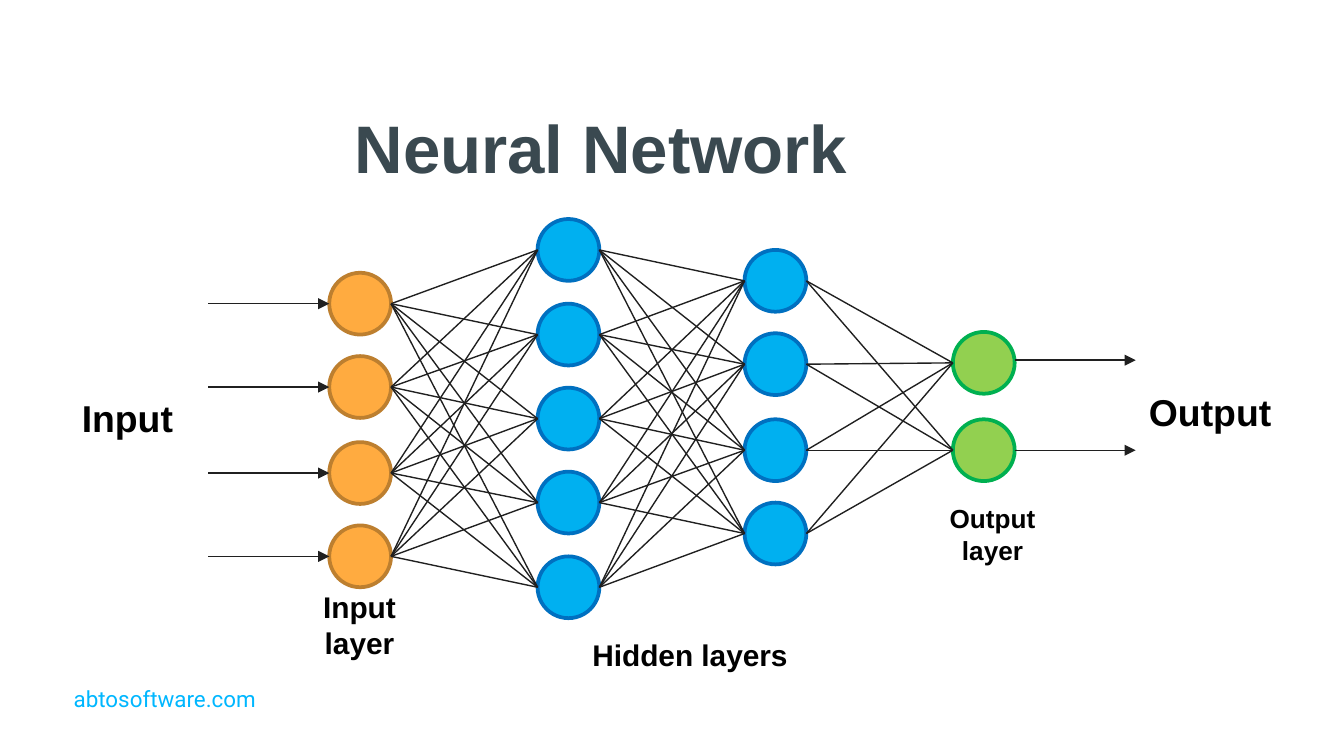
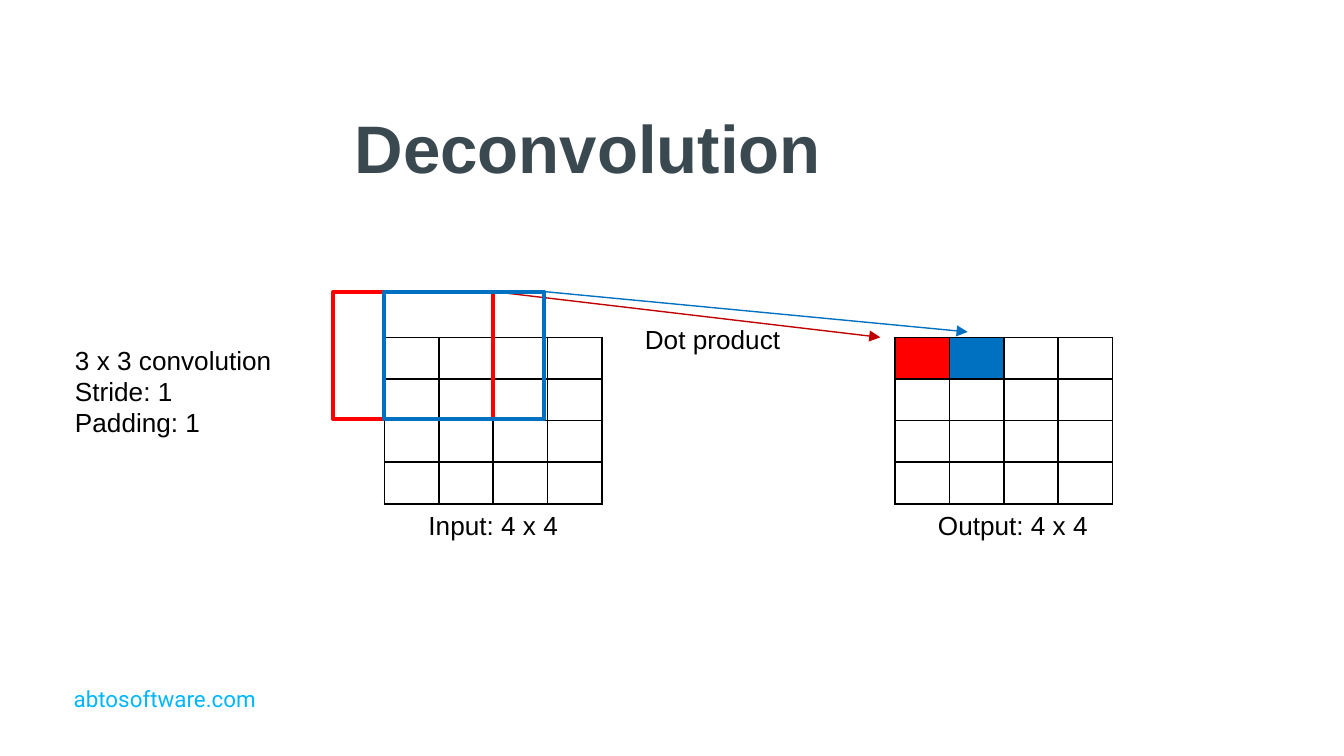
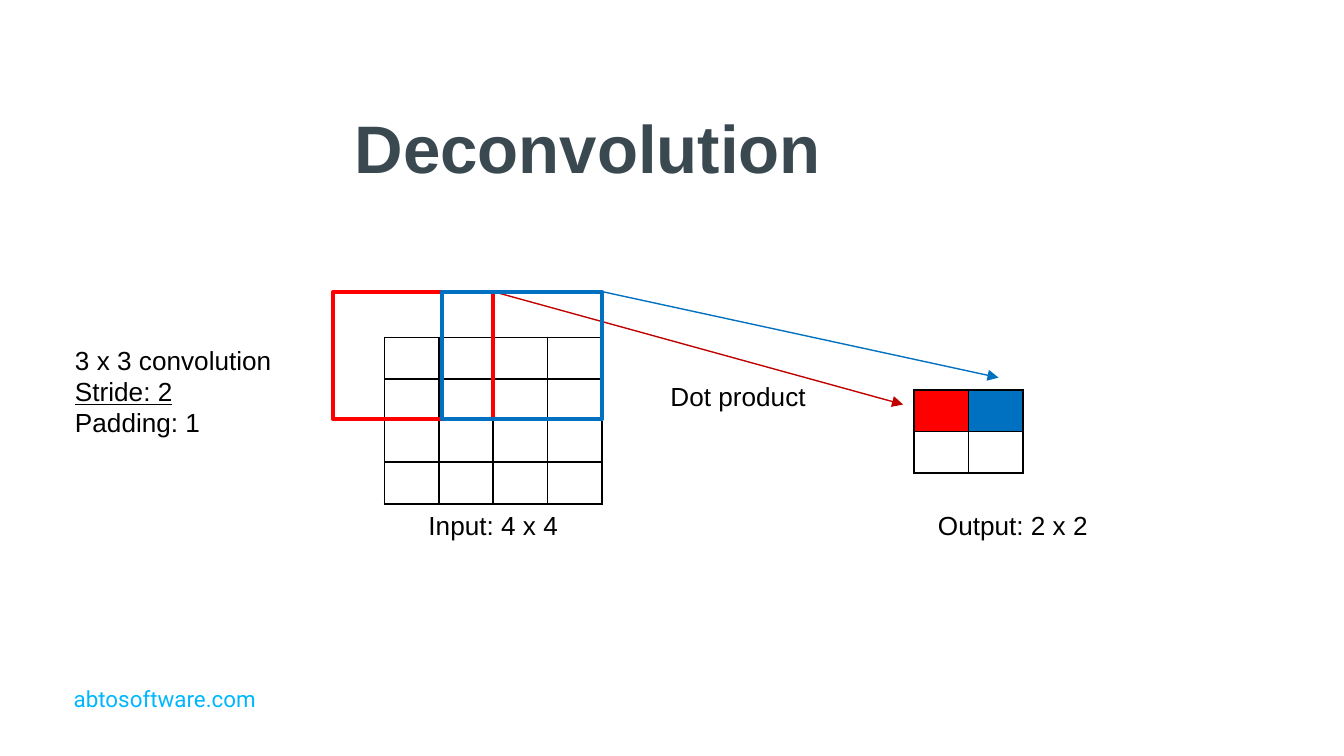
from itertools import product

from lxml import etree
from pptx import Presentation
from pptx.dml.color import RGBColor
from pptx.enum.shapes import MSO_CONNECTOR, MSO_SHAPE
from pptx.enum.text import MSO_ANCHOR, MSO_AUTO_SIZE, PP_ALIGN
from pptx.oxml.ns import qn
from pptx.util import Pt

PX = 4572  # EMU per px, 200 px to the inch
STRAIGHT, OVAL, RECT = MSO_CONNECTOR.STRAIGHT, MSO_SHAPE.OVAL, MSO_SHAPE.RECTANGLE
LEFT, CENTER = PP_ALIGN.LEFT, PP_ALIGN.CENTER
BOTTOM, GROW = MSO_ANCHOR.BOTTOM, MSO_AUTO_SIZE.SHAPE_TO_FIT_TEXT
rgb = RGBColor.from_string

BLACK, SLATE, SKY = "000000", "3A4950", "00B7FF"
RED, BLUE, DARK_RED, INK = "FF0000", "0070C0", "C00000", "202020"


def add_text(slide, box, lines, size, bold=False, color=BLACK, font="Arial",
             align=LEFT, wrap=False, underlined=None):
    label = slide.shapes.add_textbox(*[n * PX for n in box])
    frame = label.text_frame
    frame.word_wrap = wrap
    frame.auto_size = GROW
    frame.text = "\n".join(lines)
    for paragraph in frame.paragraphs:
        paragraph.alignment = align
        paragraph.font.name = font
        paragraph.font.size = Pt(size)
        paragraph.font.bold = bold
        paragraph.font.color.rgb = rgb(color)
        if paragraph.text == underlined:
            paragraph.font.underline = True
    return frame


def add_line(slide, start, end, color=INK, arrow=False):
    line = slide.shapes.add_connector(STRAIGHT, *[n * PX for n in (*start, *end)])
    line.line.color.rgb = rgb(color)
    line.line.width = Pt(0.75)
    properties = line._element.spPr
    if arrow:
        etree.SubElement(properties.find(qn("a:ln")), qn("a:tailEnd"), type="triangle")
    etree.SubElement(properties, qn("a:effectLst"))


deck = Presentation()
deck.slide_width, deck.slide_height = 2000 * PX, 1125 * PX

# Footer and title on every slide
slides = []
for title in ("Neural Network", "Deconvolution", "Deconvolution"):
    slide = deck.slides.add_slide(deck.slide_layouts[6])
    footer = add_text(slide, (90, 1000, 334, 78), ["abtosoftware.com"], 12,
                      color=SKY, font="Roboto", wrap=True)
    heading = add_text(slide, (508, 170, 1446, 128), [title], 36, bold=True,
                       color=SLATE, wrap=True)
    heading.vertical_anchor = BOTTOM
    for frame in (footer, heading):
        frame.auto_size = MSO_AUTO_SIZE.NONE
        frame.margin_top = frame.margin_bottom = 20 * PX
    slides.append(slide)

# Network: centre x, centres y, fill and outline of each layer
network = slides[0]
RADIUS = 46
layers = [
    (536, (452, 576, 704, 828), "FFAB40", "BD7F2F"),
    (846, (372, 498, 623, 748, 874), "00B0F0", BLUE),
    (1154, (418, 542, 670, 794), "00B0F0", BLUE),
    (1464, (540, 670), "92D050", "00B050"),
]
for x, centers, fill, outline in layers:
    for y in centers:
        node = network.shapes.add_shape(OVAL, (x - RADIUS) * PX, (y - RADIUS) * PX,
                                        2 * RADIUS * PX, 2 * RADIUS * PX)
        node.shadow.inherit = False
        node.fill.solid()
        node.fill.fore_color.rgb = rgb(fill)
        node.line.color.rgb = rgb(outline)
        node.line.width = Pt(2)

# Links between neighbouring layers
for (x1, from_centers, *_), (x2, to_centers, *_) in zip(layers, layers[1:]):
    for y1, y2 in product(from_centers, to_centers):
        add_line(network, (x1 + RADIUS, y1), (x2 - RADIUS, y2))

# Arrows into and out of the network
for y in layers[0][1]:
    add_line(network, (310, y), (490, y), arrow=True)
for y in (536, 670):
    add_line(network, (1510, y), (1690, y), arrow=True)

# Network labels
for box, lines, size, align, wrap in [
    ((102, 578, 178, 88), ["Input"], 20, LEFT, False),
    ((460, 866, 150, 128), ["Input", "layer"], 16, CENTER, False),
    ((800, 938, 454, 74), ["Hidden layers"], 16, CENTER, True),
    ((1388, 738, 178, 114), ["Output", "layer"], 14, CENTER, True),
    ((1690, 570, 224, 88), ["Output"], 20, LEFT, False),
]:
    add_text(network, box, lines, size, bold=True, align=align, wrap=wrap)

# Convolution: stride, output grid, window and arrow places
CELL_W, CELL_H = 81, 62
WINDOW_TOP, WINDOW_W, WINDOW_H = 434, 238, 190
convolutions = [
    (slides[1], 1, 4, (1332, 502), 572, (1310, 502), (1440, 494), (940, 472)),
    (slides[2], 2, 2, (1360, 580), 658, (1344, 602), (1486, 562), (978, 556)),
]
for (slide, stride, output_size, output_at, blue_left,
     red_tip, blue_tip, product_at) in convolutions:
    stride_line = f"Stride: {stride}"
    add_text(slide, (92, 502, 334, 162),
             ["3 x 3 convolution", stride_line, "Padding: 1"], 14,
             underlined=stride_line if stride > 1 else None)

    # Input and output grids
    for count, (left, top), cell_fills in [
        (4, (572, 502), {}),
        (output_size, output_at, {(0, 0): RED, (0, 1): BLUE}),
    ]:
        grid = slide.shapes.add_table(count, count, left * PX, top * PX,
                                      count * CELL_W * PX, count * CELL_H * PX).table
        grid.first_row = grid.horz_banding = False
        for column in grid.columns:
            column.width = CELL_W * PX
        for row in grid.rows:
            row.height = CELL_H * PX
        for r, c in product(range(count), repeat=2):
            cell = grid.cell(r, c)
            cell.margin_top = cell.margin_bottom = 0
            for side in ("lnL", "lnR", "lnT", "lnB"):
                border = etree.SubElement(cell._tc.get_or_add_tcPr(), qn(f"a:{side}"),
                                          w=str(Pt(1)))
                paint = etree.SubElement(border, qn("a:solidFill"))
                etree.SubElement(paint, qn("a:srgbClr"), val=BLACK)
            if (r, c) in cell_fills:
                cell.fill.solid()
                cell.fill.fore_color.rgb = rgb(cell_fills[r, c])
            else:
                cell.fill.background()

    add_text(slide, (618, 748, 234, 68), ["Input: 4 x 4"], 14)
    add_text(slide, (1376, 748, 264, 68),
             [f"Output: {output_size} x {output_size}"], 14)
    add_text(slide, (*product_at, 254, 68), ["Dot product"], 14)

    # Sliding windows, each pointing at its output cell
    for left, outline, arrow_color, tip in [
        (496, RED, DARK_RED, red_tip),
        (blue_left, BLUE, BLUE, blue_tip),
    ]:
        window = slide.shapes.add_shape(RECT, left * PX, WINDOW_TOP * PX,
                                        WINDOW_W * PX, WINDOW_H * PX)
        window.shadow.inherit = False
        window.fill.background()
        window.line.color.rgb = rgb(outline)
        window.line.width = Pt(2)
        add_line(slide, (left + WINDOW_W, WINDOW_TOP), tip, arrow_color, arrow=True)

deck.save("out.pptx")
